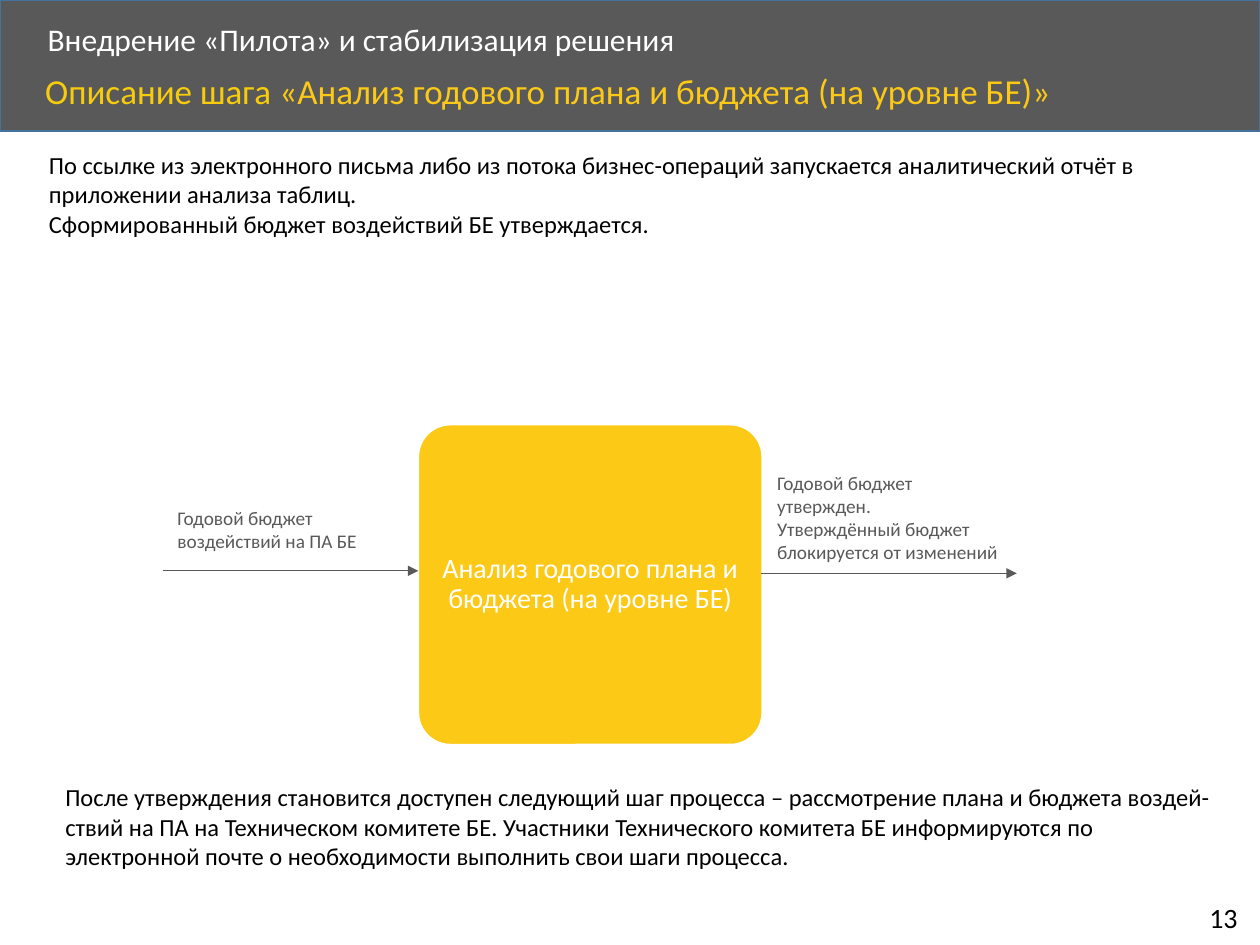
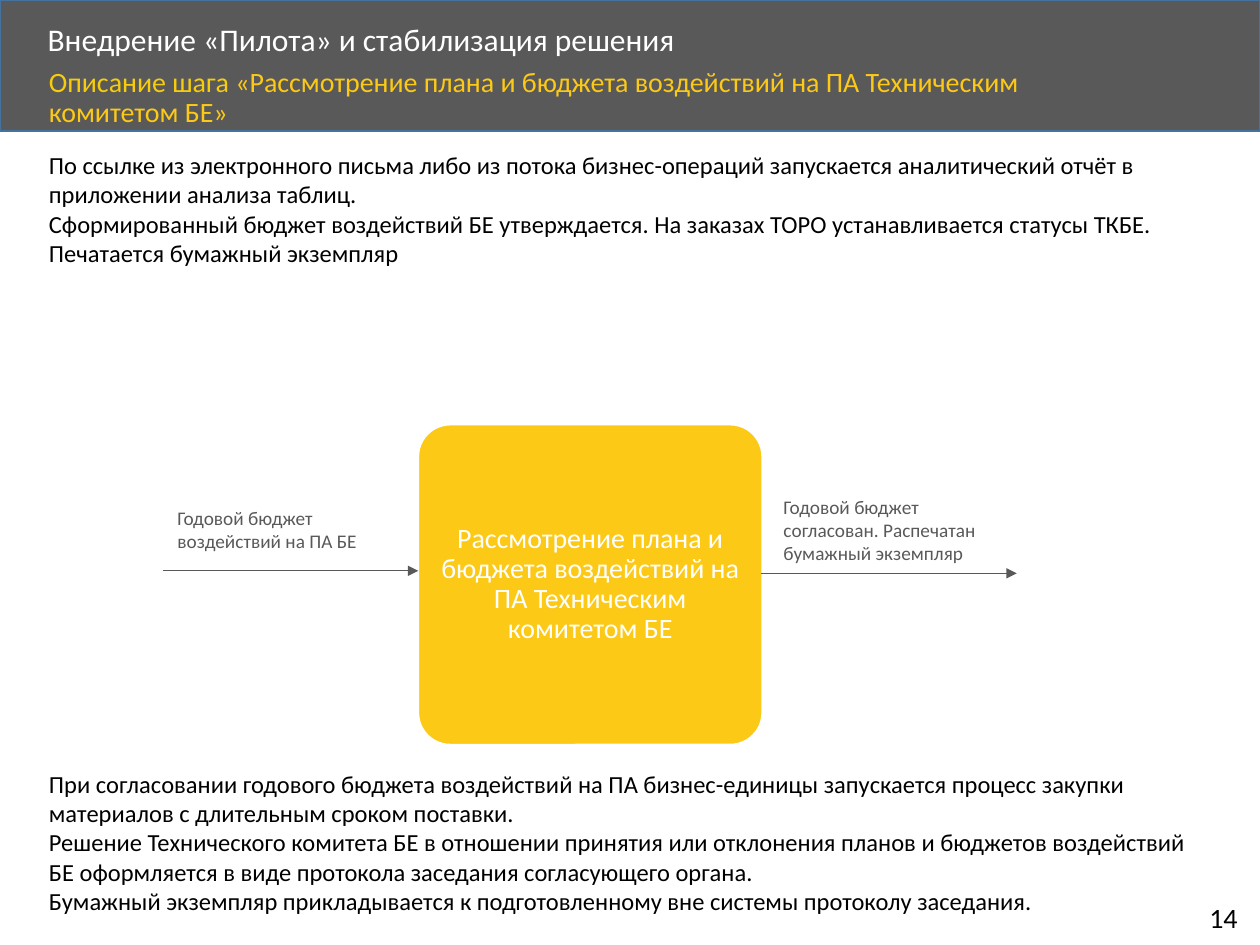
from lxml import etree
from pptx import Presentation
from pptx import util as u
from pptx.dml.color import RGBColor
from pptx.enum import shapes, text
from pptx.oxml.ns import qn

HUE = {"band": "595959", "edge": "43739E", "gold": "FCC917", "lead": "F6CC0C",
       "white": "FFFFFF", "black": "000000"}
FONT = "Calibri"


def rgb(name):
    return RGBColor.from_string(HUE[name])


def write(host, paras, size=14, hue="black", at=None, align=None, line=None,
          anchor="TOP", wrap=True, pad=None):
    """Fill a shape, or a new text box at a place; a paragraph is text or (text, hue) runs."""
    box = host.shapes.add_textbox(*map(u.Inches, at)) if at else host
    frame = box.text_frame
    frame.word_wrap = wrap
    frame.vertical_anchor = text.MSO_ANCHOR[anchor]
    if pad is not None:
        frame.margin_left = frame.margin_right = u.Inches(pad)
    for i, runs in enumerate(paras):
        para = frame.paragraphs[0] if i == 0 else frame.add_paragraph()
        para.alignment = align
        para.line_spacing = line
        for words, tint in [(runs, hue)] if isinstance(runs, str) else runs:
            run = para.add_run()
            run.text = words
            run.font.name, run.font.size = FONT, u.Pt(size)
            run.font.color.rgb = rgb(tint)


# What differs from slide to slide
ASK = ("По ссылке из электронного письма либо из потока бизнес-операций запускается "
       "аналитический отчёт в приложении анализа таблиц.")
DONE = "Сформированный бюджет воздействий БЕ утверждается."
pages = [
    dict(num="13", step="Анализ годового плана и бюджета (на уровне БЕ)",
         size=20, head=(0.26, 0.54, 8.67, 0.45),
         top=[ASK, DONE], high=0.81,
         out=["Годовой бюджет утвержден.", "Утверждённый бюджет блокируется от изменений"],
         spot=(6.07, 3.69, 2, 0.84),
         foot=["После утверждения становится доступен следующий шаг процесса – рассмотрение "
               "плана и бюджета воздей-ствий на ПА на Техническом комитете БЕ. Участники "
               "Технического комитета БЕ информируются по электронной почте о необходимости "
               "выполнить свои шаги процесса."],
         base=(0.42, 6.16, 9.46, 0.81)),
    dict(num="14", step="Рассмотрение плана и бюджета воздействий на ПА Техническим комитетом БЕ",
         size=16, head=(0.29, 0.49, 8.67, 0.45),
         top=[ASK, DONE + " На заказах ТОРО устанавливается статусы ТКБЕ.",
              "Печатается бумажный экземпляр"], high=1.04,
         out=["Годовой бюджет согласован. Распечатан бумажный экземпляр"],
         spot=(6.12, 3.88, 2, 0.66),
         foot=["При согласовании годового бюджета воздействий на ПА бизнес-единицы "
               "запускается процесс закупки материалов с длительным сроком поставки.",
               "Решение Технического комитета БЕ в отношении принятия или отклонения планов "
               "и бюджетов воздействий БЕ оформляется в виде протокола заседания "
               "согласующего органа.",
               "Бумажный экземпляр прикладывается к подготовленному вне системы протоколу "
               "заседания."],
         base=(0.29, 6.05, 9.46, 1.28)),
]

deck = Presentation()
deck.slide_width, deck.slide_height = u.Inches(10), u.Inches(7.5)

for page in pages:
    slide = deck.slides.add_slide(deck.slide_layouts[6])

    # Header band and step box
    blocks = []
    for kind, at, fill, edge in [("RECTANGLE", (0, 0, 10, 1.04), "band", "edge"),
                                 ("ROUNDED_RECTANGLE", (3.32, 3.37, 2.73, 2.54), "gold", "white")]:
        block = slide.shapes.add_shape(shapes.MSO_SHAPE[kind], *map(u.Inches, at))
        block.shadow.inherit = False
        block.fill.solid()
        block.fill.fore_color.rgb = rgb(fill)
        block.line.color.rgb = rgb(edge)
        block.line.width = u.Pt(1)
        blocks.append(block)
    step = blocks[1]
    step.adjustments[0] = 0.1
    write(step, [page["step"]], size=16, hue="white", line=0.9, anchor="MIDDLE",
          align=text.PP_ALIGN.CENTER, pad=0.07)

    # Titles and page number
    write(slide, ["Внедрение «Пилота» и стабилизация решения"], size=18, hue="white",
          at=(0.28, 0.14, 8.07, 0.38), line=0.9, anchor="MIDDLE")
    write(slide, [[("Описание шага ", "lead"), (f"«{page['step']}»", "gold")]],
          size=page["size"], at=page["head"], line=0.9)
    write(slide, [page["num"]], size=16, at=(9.5, 7.1, 0.46, 0.37), wrap=False)

    # Arrows into and out of the step
    for left, y in [(1.29, 4.53), (6.04, 4.55)]:
        arrow = slide.shapes.add_connector(
            shapes.MSO_CONNECTOR.STRAIGHT, *map(u.Inches, (left, y, left + 2.03, y)))
        arrow.line.color.rgb = rgb("band")
        arrow.line.width = u.Pt(0.5)
        etree.SubElement(arrow.line._get_or_add_ln(), qn("a:tailEnd"), type="triangle")
        etree.SubElement(arrow._element.spPr, qn("a:effectLst"))
    write(slide, ["Годовой бюджет воздействий на ПА БЕ"], size=11, hue="band",
          at=(1.31, 3.97, 2, 0.47))
    write(slide, page["out"], size=11, hue="band", at=page["spot"])

    # Text above and below the diagram
    write(slide, page["top"], at=(0.29, 1.14, 9.46, page["high"]))
    write(slide, page["foot"], at=page["base"])

deck.save("out.pptx")
